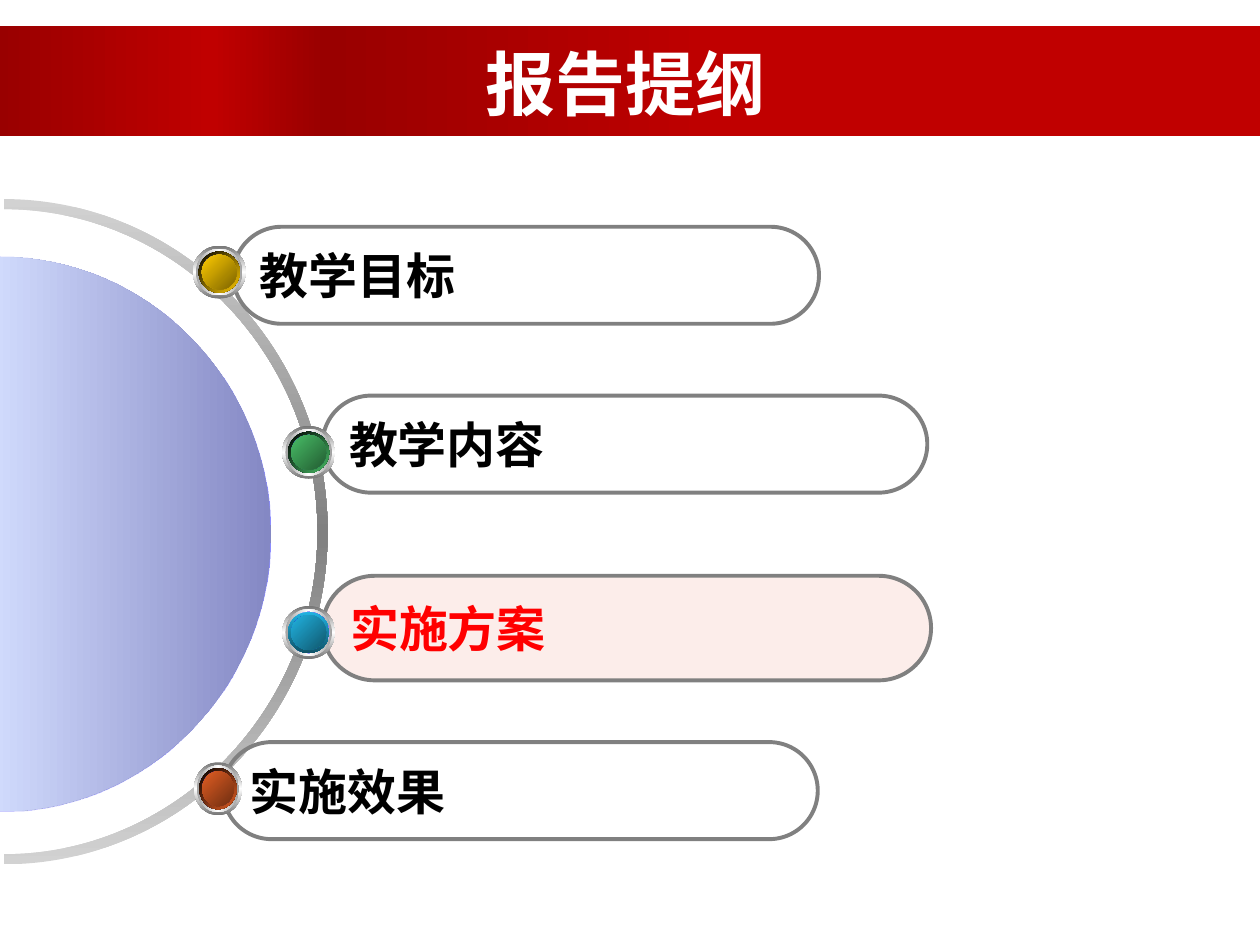
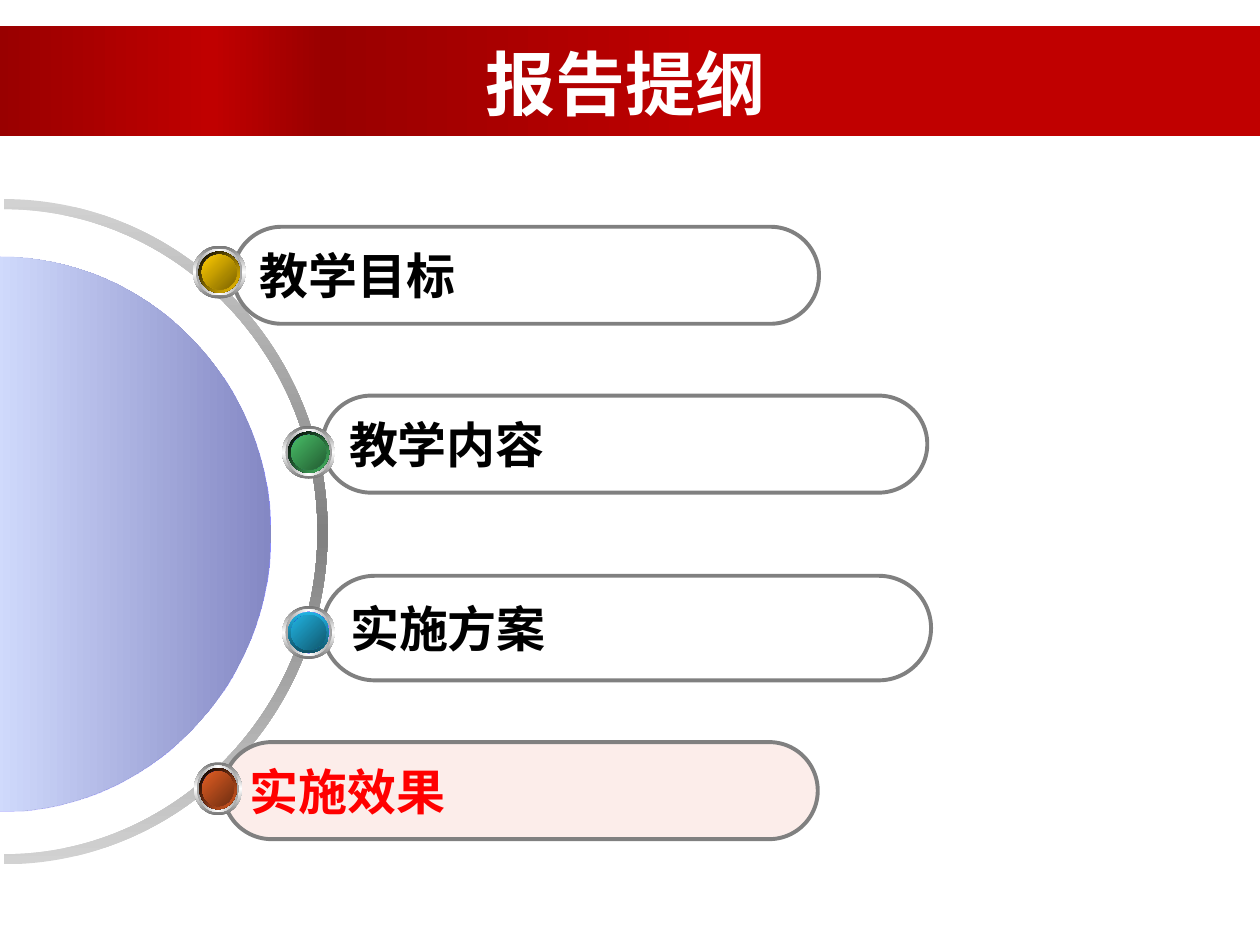
from lxml.etree import SubElement
from pptx import Presentation
from pptx.dml.color import RGBColor
from pptx.enum.shapes import MSO_SHAPE as SHAPE
from pptx.enum.text import MSO_ANCHOR as ANCHOR, PP_ALIGN as ALIGN
from pptx.oxml.ns import qn
from pptx.util import Inches, Pt

CJK_FONT, LATIN_FONT = "Noto Sans CJK SC", "Times New Roman"
WHITE, BLACK, RED, GREY = "FFFFFF", "000000", "FF0000", "808080"
HIGHLIGHT = "FCEDEA"

# Gradients: (position %, colour[, opacity %])
BAND = [(0, "C00000"), (15, "C00000"), (42, "C00000"),
        (74, "990000"), (83, "C00000"), (100, "990000")]
RING = [(0, "D2D2D2"), (50, GREY), (100, "D2D2D2")]
DISC_GLOW = [(0, "3333FF", 56), (100, WHITE, 48)]
DISC = [(0, "8488C4"), (53, "D4DEFF"), (83, "D4DEFF"), (100, "96AB94")]

# Boxes of the outlines before their quarter turn
DISC_BOX = (-2.21, 2.09, 4.41, 4.3)
RING_BOX = (-2.65, 1.61, 5.28, 5.22)

# Outline entries: text, pill box, orb box, orb rim gradient and angle, orb face gradient
ENTRIES = [
    ("实施效果", (1.77, 5.89, 4.72, 0.77), (1.54, 6.05, 0.38, 0.42),
     (BLACK, "E35E23", 45), ("E35E23", "6E2E11")),
    ("实施方案", (2.56, 4.57, 4.83, 0.83), (2.24, 4.81, 0.42, 0.42),
     ("21B3E1", "0F5368", 90), ("21B3E1", "10576D")),
    ("教学内容", (2.56, 3.14, 4.8, 0.77), (2.24, 3.38, 0.42, 0.42),
     (BLACK, "48BE67", 45), ("48BE67", "235C32")),
    ("教学目标", (1.85, 1.8, 4.65, 0.77), (1.53, 1.95, 0.42, 0.42),
     (BLACK, "FFCC00", 45), ("FFCC00", "7C6300")),
]


def rgb(hex_string):
    return RGBColor.from_string(hex_string)


def half_ellipse(cx, cy, rx, ry):
    """Points of two Bézier curves: the right half of an ellipse, downwards."""
    k = 0.55
    unit = [(0, -1), (k, -1), (1, -k), (1, 0), (1, k), (k, 1), (0, 1)]
    return [(cx + rx * x, cy + ry * y) for x, y in unit]


class Deck:
    def __init__(self):
        self.prs = Presentation()
        self.prs.slide_width, self.prs.slide_height = Inches(10), Inches(7.5)
        self.layout = self.prs.slide_layouts[5]
        self.s = None

    def new_slide(self, title):
        self.s = self.prs.slides.add_slide(self.layout)
        sp = self.s.shapes.title
        sp.left, sp.top, sp.width, sp.height = map(Inches, (0.8, 0.21, 8.33, 0.83))
        self.text(sp, title, 40, CJK_FONT, WHITE, ALIGN.CENTER, ANCHOR.BOTTOM)

    def text(self, sp, text, size, font, color, align, anchor=ANCHOR.MIDDLE):
        tf = sp.text_frame
        tf.text = text
        tf.vertical_anchor = anchor
        p = tf.paragraphs[0]
        p.alignment = align
        r = p.runs[0]
        r.font.size, r.font.bold, r.font.name = Pt(size), True, font
        r.font.color.rgb = rgb(color)
        SubElement(r.font._element, qn("a:ea"), typeface=CJK_FONT)

    def gradient(self, sp, stops, angle):
        """Fill with any number of stops; the angle runs clockwise."""
        sp.shadow.inherit = False
        sp.line.fill.background()
        sp.fill.gradient()
        sp.fill.gradient_angle = -angle % 360
        gs_list = sp._element.spPr.find(".//" + qn("a:gsLst"))
        for gs in list(gs_list):
            gs_list.remove(gs)
        for pos, color, *alpha in stops:
            gs = SubElement(gs_list, qn("a:gs"), pos=str(pos * 1000))
            clr = SubElement(gs, qn("a:srgbClr"), val=color)
            for value in alpha:
                SubElement(clr, qn("a:alpha"), val=str(value * 1000))

    def shape(self, kind, box, parent=None):
        shapes = (parent or self.s).shapes
        return shapes.add_shape(kind, *map(Inches, box))

    def curved(self, box, arcs, stops, angle):
        """Join Bézier arcs into one closed outline, in a box turned by 90°."""
        x, y, w, h = box
        fb = self.s.shapes.build_freeform(Inches(x), Inches(y))
        corners = [(x + w, y), (x + w, y + h), (x, y + h)]
        fb.add_line_segments([(Inches(a), Inches(b)) for a, b in corners])
        sp = fb.convert_to_shape()
        sp.rotation = 90
        outline = sp._element.spPr.find(".//" + qn("a:path"))
        for command in list(outline):
            outline.remove(command)

        def draw(command, points):
            node = SubElement(outline, qn(command))
            for px, py in points:
                u, v = py - y - h / 2 + w / 2, x + w / 2 - px + h / 2
                SubElement(node, qn("a:pt"), x=str(Inches(u)), y=str(Inches(v)))

        for i, arc in enumerate(arcs):
            draw("a:lnTo" if i else "a:moveTo", arc[:1])
            for start in range(1, len(arc), 3):
                draw("a:cubicBezTo", arc[start:start + 3])
        draw("a:close", [])
        self.gradient(sp, stops, angle)

    def layout_band(self):
        """Put the title band behind everything on the shared layout."""
        sp = self.shape(SHAPE.RECTANGLE, (-0.02, 0.21, 10.02, 0.87))
        self.gradient(sp, BAND, 180)
        self.layout.shapes._spTree.insert(2, sp._element)

    def pill(self, text, box, active):
        sp = self.shape(SHAPE.ROUNDED_RECTANGLE, box)
        sp.adjustments[0] = 0.5
        sp.shadow.inherit = False
        sp.line.color.rgb, sp.line.width = rgb(GREY), Pt(2.25)
        if active:
            sp.fill.solid()
            sp.fill.fore_color.rgb = rgb(HIGHLIGHT)
        else:
            sp.fill.background()
        self.text(sp, text, 28, LATIN_FONT, RED if active else BLACK, ALIGN.LEFT)
        sp.text_frame.word_wrap = False

    def orb(self, box, rim, face):
        """Nested ellipses; each inset is a share of the orb's size."""
        x, y, w, h = box
        group = self.s.shapes.add_group_shape()
        layers = [
            (0, ("767676", WHITE, "767676"), 90),
            (0.06, ("A2A2A2", WHITE, "A2A2A2"), 0),
            (0.11, (WHITE, "3333FF", WHITE), 45),
            (0.11, rim[:2], rim[2]),
            (0.17, ("2727C3", "3333FF", "2727C3"), 315),
            (0.17, face, 45),
        ]
        for inset, colors, angle in layers:
            dx, dy = w * inset, h * inset
            sp = self.shape(SHAPE.OVAL, (x + dx, y + dy, w - 2 * dx, h - 2 * dy), group)
            step = 100 // (len(colors) - 1)
            self.gradient(sp, [(i * step, c) for i, c in enumerate(colors)], angle)

    def agenda(self, active):
        self.new_slide("报告提纲")

        # Half disc and ring at the left edge
        disc = half_ellipse(0, 4.24, 2.15, 2.2)
        inner = half_ellipse(0.03, 4.22, 2.49, 2.56)
        outer = half_ellipse(0.03, 4.22, 2.57, 2.64)
        self.curved(DISC_BOX, [disc], DISC_GLOW, 90)
        self.curved(RING_BOX, [inner, outer[::-1]], RING, 0)
        self.curved(DISC_BOX, [disc], DISC, 90)

        # Entries, then the orbs on top of them
        for text, box, *_ in ENTRIES:
            self.pill(text, box, text == active)
        for _, _, box, rim, face in reversed(ENTRIES):
            self.orb(box, rim, face)


def main():
    deck = Deck()
    for active in ("实施方案", "实施效果"):
        deck.agenda(active)
    deck.layout_band()
    deck.prs.save("out.pptx")


if __name__ == "__main__":
    main()
